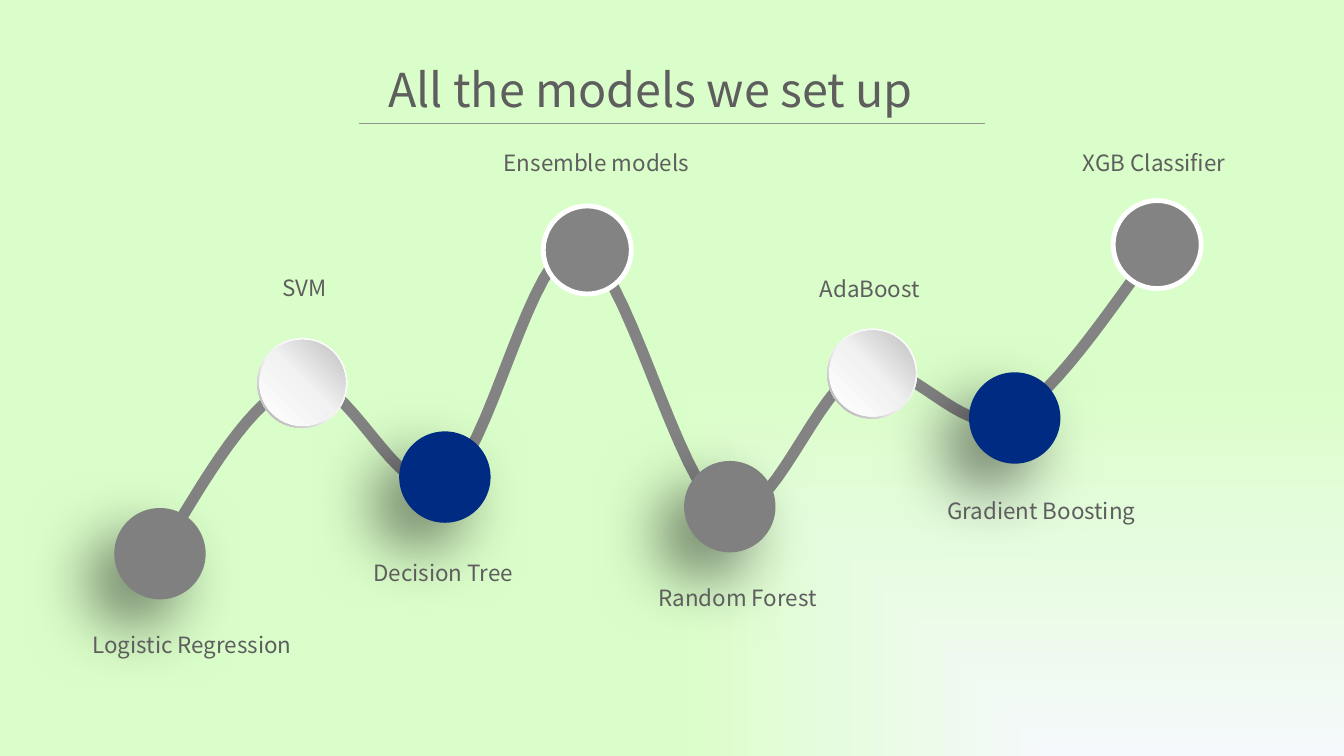
"""Build a slide that shows the models as stations along a winding curve."""
from lxml import etree
from pptx import Presentation
from pptx.dml.color import RGBColor
from pptx.enum.shapes import MSO_CONNECTOR, MSO_SHAPE
from pptx.enum.text import MSO_AUTO_SIZE, PP_ALIGN
from pptx.oxml import parse_xml
from pptx.oxml.ns import nsdecls, qn
from pptx.util import Inches, Pt

STRAIGHT = MSO_CONNECTOR.STRAIGHT
ELLIPSE, DONUT = MSO_SHAPE.OVAL, MSO_SHAPE.DONUT
FIT_SHAPE = MSO_AUTO_SIZE.SHAPE_TO_FIT_TEXT
LEFT, CENTER = PP_ALIGN.LEFT, PP_ALIGN.CENTER

TEXT_COLOR = RGBColor(0x5E, 0x5E, 0x5E)
RULE_COLOR = RGBColor(0x93, 0x95, 0x90)
GREY = RGBColor(0x80, 0x80, 0x80)
CURVE_GREY = RGBColor(0x83, 0x83, 0x83)
NAVY = RGBColor(0x00, 0x2B, 0x82)
WHITE = RGBColor(0xFF, 0xFF, 0xFF)
PALE_GREY = RGBColor(0xF2, 0xF2, 0xF2)
MID_GREY = RGBColor(0xBF, 0xBF, 0xBF)
DARK_GREY = RGBColor(0xA6, 0xA6, 0xA6)
PALE_BLUE = RGBColor(0xF5, 0xF9, 0xFB)
MINT = RGBColor(0xDA, 0xFE, 0xC9)

PAGE_WIDTH = Inches(10)
PAGE_HEIGHT = PAGE_WIDTH * 9 // 16
FONT = "Noto Sans CJK SC"
TITLE = "All the models we set up"
FIRST_X, STEP_X = 1.19, 1.06
FLAT_SIZE, RING_SIZE, DISC_SIZE = 0.68, 0.67, 0.64

# name, station style, centre y, label left, label top, label width
MODELS = [
    ("Logistic Regression", "grey", 4.12, 0.59, 4.65, 1.74),
    ("SVM", "glossy", 2.85, 2, 1.99, 0.58),
    ("Decision Tree", "navy", 3.55, 2.68, 4.11, 1.32),
    ("Ensemble models", "ringed", 1.86, 3.65, 1.06, 1.61),
    ("Random Forest", "grey", 3.77, 4.8, 4.3, 1.61),
    ("AdaBoost", "glossy", 2.78, 6, 2, 0.98),
    ("Gradient Boosting", "navy", 3.11, 6.95, 3.65, 1.66),
    ("XGB Classifier", "ringed", 1.82, 7.96, 1.06, 1.3),
]
FLAT_COLORS = {"grey": GREY, "navy": NAVY}
RING_STOPS = [(0, WHITE, 100), (55, PALE_GREY, 100), (100, DARK_GREY, 100)]
DISC_STOPS = [(0, WHITE, 100), (51, PALE_GREY, 100), (100, MID_GREY, 100)]
PAGE_STOPS = [(0, PALE_BLUE, 100), (100, MINT, 40)]
CORNER = '<a:path path="rect"><a:fillToRect l="100000" t="100000"/></a:path>'

CURVE_START = (1.17, 4.16)
CURVE_PARTS = [
    ((1.53, 3.55), (1.88, 2.94), (2.23, 2.84)),
    ((2.59, 2.75), (2.95, 3.76), (3.3, 3.59)),
    ((3.64, 3.43), (3.95, 1.81), (4.3, 1.84)),
    ((4.65, 1.88), (5.04, 3.65), (5.39, 3.8)),
    ((5.74, 3.95), (6.07, 2.86), (6.42, 2.75)),
    ((6.77, 2.64), (7.14, 3.26), (7.5, 3.11)),
    ((7.86, 2.96), (8.41, 2.07), (8.61, 1.84)),
]
CURVE_STEPS = 16


def set_gradient(fill, holder, stops, direction):
    fill.solid()
    marks = "".join(
        f'<a:gs pos="{position * 1000}"><a:srgbClr val="{color}">'
        f'<a:alpha val="{opacity * 1000}"/></a:srgbClr></a:gs>'
        for position, color, opacity in stops)
    gradient = parse_xml(f'<a:gradFill {nsdecls("a")} rotWithShape="1">'
                         f'<a:gsLst>{marks}</a:gsLst>{direction}</a:gradFill>')
    holder.replace(holder.find(qn("a:solidFill")), gradient)


def linear(angle):
    return f'<a:lin ang="{angle * 60000}" scaled="0"/>'


def add_text(page, text, left, top, width, height, size, align=LEFT, wrap=False):
    box = page.shapes.add_textbox(*map(Inches, (left, top, width, height)))
    frame = box.text_frame
    frame.text = text
    frame.word_wrap = wrap
    frame.auto_size = FIT_SHAPE
    paragraph = frame.paragraphs[0]
    paragraph.alignment = align
    font = paragraph.runs[0].font
    font.name, font.size = FONT, Pt(size)
    font.color.rgb = TEXT_COLOR


def add_round(shapes, kind, x, y, size):
    shape = shapes.add_shape(kind, Inches(x - size / 2), Inches(y - size / 2),
                             Inches(size), Inches(size))
    shape.shadow.inherit = False
    shape.line.fill.background()
    if kind == DONUT:
        shape.adjustments[0] = 0.049
    return shape


def add_flat_station(page, x, y, color):
    shape = add_round(page.shapes, ELLIPSE, x, y, FLAT_SIZE)
    shape.fill.solid()
    shape.fill.fore_color.rgb = color
    effects = shape._element.spPr.find(qn("a:effectLst"))
    effects.append(parse_xml(
        f'<a:outerShdw {nsdecls("a")} blurRad="{Pt(35)}" dist="{Pt(20)}" '
        f'dir="{135 * 60000}" algn="tr" rotWithShape="0"><a:srgbClr val="000000">'
        '<a:alpha val="50000"/></a:srgbClr></a:outerShdw>'))


def add_double_station(page, x, y, glossy):
    group = page.shapes.add_group_shape()
    for kind, size, stops, angle in ((DONUT, RING_SIZE, RING_STOPS, 135),
                                     (ELLIPSE, DISC_SIZE, DISC_STOPS, 315)):
        shape = add_round(group.shapes, kind, x, y, size)
        if glossy:
            set_gradient(shape.fill, shape._element.spPr, stops, linear(angle))
        else:
            shape.fill.solid()
            shape.fill.fore_color.rgb = CURVE_GREY
            shape.line.color.rgb = WHITE
            shape.line.width = Pt(1.5)


def curve_points():
    start = CURVE_START
    for first, second, end in CURVE_PARTS:
        for step in range(1, CURVE_STEPS + 1):
            t = step / CURVE_STEPS
            u = 1 - t
            yield tuple(
                Inches(u**3 * a + 3 * u * u * t * b + 3 * u * t * t * c + t**3 * d)
                for a, b, c, d in zip(start, first, second, end))
        start = end


def add_curve(page):
    builder = page.shapes.build_freeform(*map(Inches, CURVE_START))
    builder.add_line_segments(list(curve_points()), close=False)
    curve = builder.convert_to_shape()
    curve.shadow.inherit = False
    curve.fill.background()
    curve.line.color.rgb = CURVE_GREY
    curve.line.width = Pt(6)


def main():
    deck = Presentation()
    deck.slide_width, deck.slide_height = PAGE_WIDTH, PAGE_HEIGHT
    page = deck.slides.add_slide(deck.slide_layouts[6])
    fill = page.background.fill
    fill.solid()
    holder = page._element.cSld.find(qn("p:bg")).find(qn("p:bgPr"))
    set_gradient(fill, holder, PAGE_STOPS, CORNER)

    add_text(page, TITLE, 2, 0.4, 5.68, 0.52, 25, CENTER, True)
    rule = page.shapes.add_connector(STRAIGHT, Inches(2.67), Inches(0.92),
                                     Inches(7.33), Inches(0.92))
    rule.line.color.rgb = RULE_COLOR
    rule.line.width = Pt(0.75)
    etree.SubElement(rule._element.spPr, qn("a:effectLst"))

    add_curve(page)
    for index, (name, style, y, left, top, width) in enumerate(MODELS):
        x = FIRST_X + index * STEP_X
        if style in FLAT_COLORS:
            add_flat_station(page, x, y, FLAT_COLORS[style])
        else:
            add_double_station(page, x, y, style == "glossy")
        add_text(page, name, left, top, width, 0.3, 12)
    deck.save("out.pptx")


if __name__ == "__main__":
    main()
